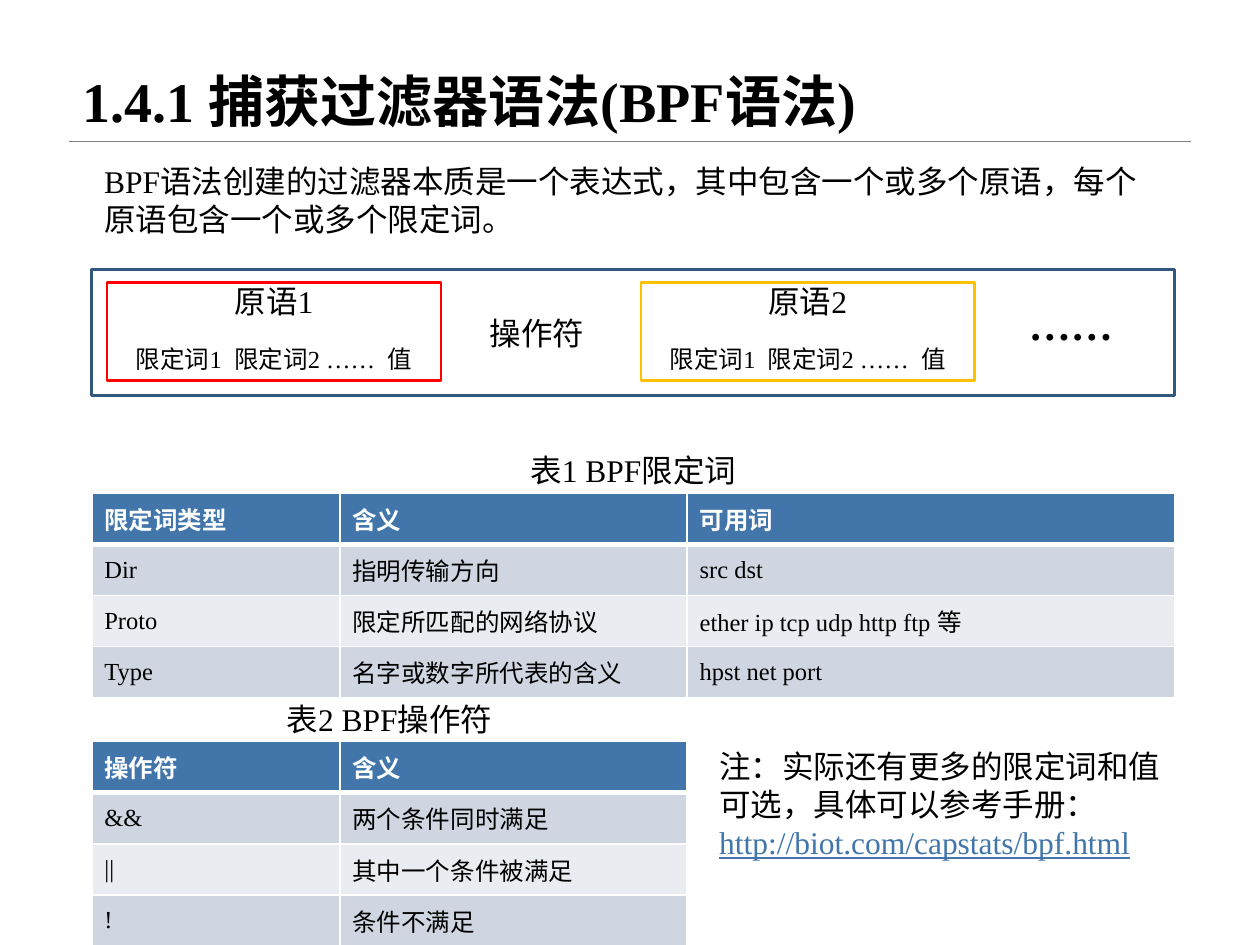
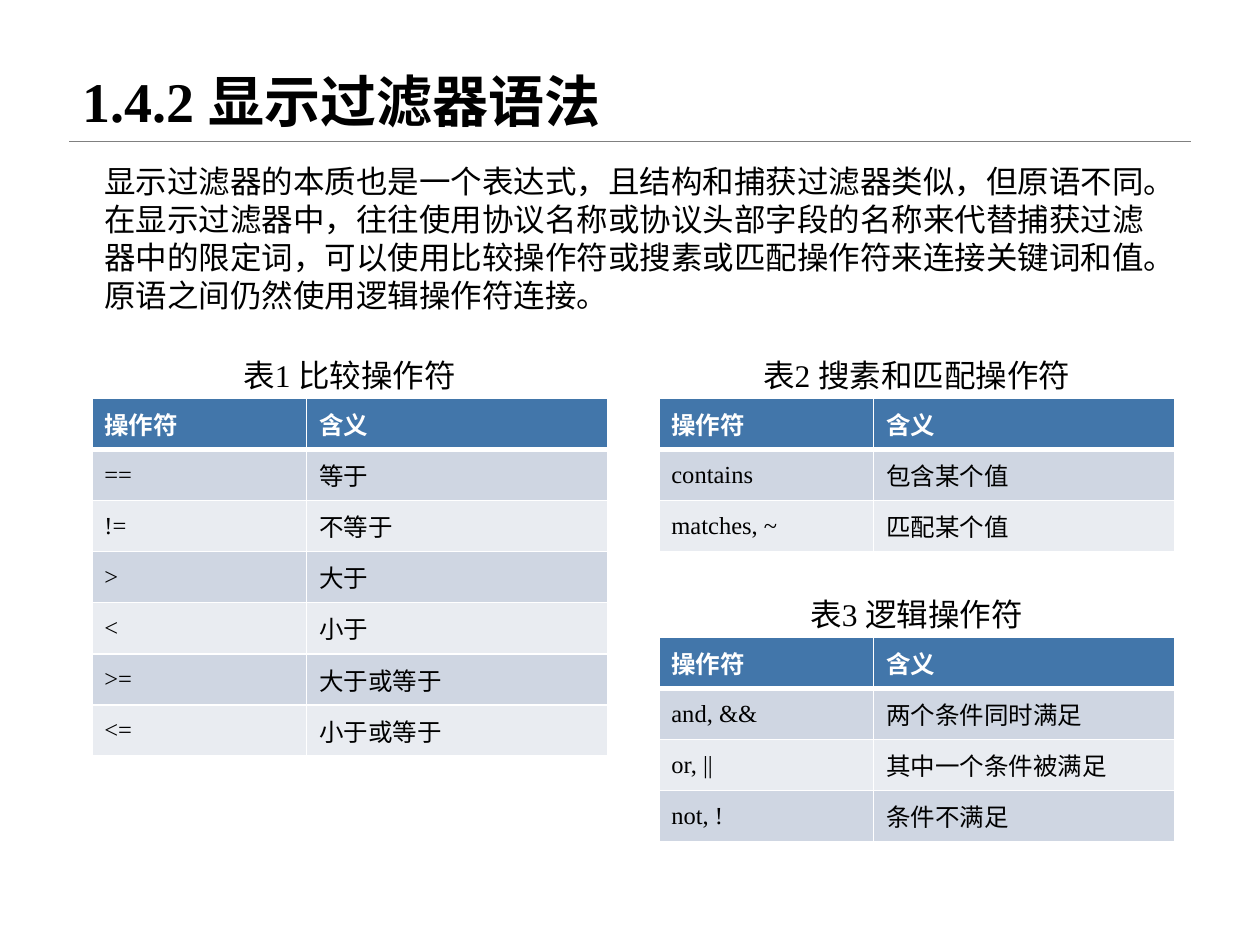
import pptx
import pptx.dml.color
import pptx.enum.shapes
import pptx.enum.text
import pptx.oxml
import pptx.oxml.ns
import pptx.util
from dataclasses import dataclass

Cm = pptx.util.Cm
Pt = pptx.util.Pt
ALIGN = pptx.enum.text.PP_ALIGN
ANCHOR = pptx.enum.text.MSO_ANCHOR
SHAPE = pptx.enum.shapes.MSO_SHAPE
CONNECTOR = pptx.enum.shapes.MSO_CONNECTOR


@dataclass(frozen=True)
class Theme:
    font: str = "Times New Roman"
    text: str = "000000"
    white: str = "FFFFFF"
    accent: str = "4276AA"
    frame: str = "31577E"
    rule: str = "808080"
    first: str = "FF0000"
    second: str = "FFC000"
    bands: tuple = ("CFD6E2", "E9ECF1")
    title_size: int = 32
    dots_size: int = 24
    body_size: int = 18
    small_size: int = 14


LEFT, WIDTH = 1.85, 21.83
ROW_H = 1.03
CAPTION_H, CAPTION_RISE = 1.02, 0.97
NARROW = {"l": 0.1, "r": 0.1}


def rgb(value):
    return pptx.dml.color.RGBColor.from_string(value)


def assign(obj, **values):
    for name, value in values.items():
        setattr(obj, name, value)


class Deck:
    def __init__(self, prs, theme):
        self.prs, self.theme, self.s = prs, theme, None

    def style(self, font, size, color=None, **values):
        assign(font, name=self.theme.font, size=Pt(size), **values)
        font.color.rgb = rgb(color or self.theme.text)

    def slide(self, title):
        self.s = self.prs.slides.add_slide(self.prs.slide_layouts[5])
        sp = self.s.shapes.title
        assign(sp, left=Cm(1.4), top=Cm(0), width=Cm(22.6), height=Cm(2.85))
        tf = sp.text_frame
        assign(tf, vertical_anchor=ANCHOR.BOTTOM, word_wrap=True,
               auto_size=pptx.enum.text.MSO_AUTO_SIZE.NONE)
        p = tf.paragraphs[0]
        assign(p, alignment=ALIGN.LEFT, line_spacing=0.9)
        r = p.add_run()
        r.text = title
        self.style(r.font, self.theme.title_size, bold=True)
        self.line(1.4, 2.85, 24, 2.85)

    def line(self, x1, y1, x2, y2):
        sp = self.s.shapes.add_connector(CONNECTOR.STRAIGHT, Cm(x1), Cm(y1), Cm(x2), Cm(y2))
        sp.line.color.rgb = rgb(self.theme.rule)
        sp.line.width = Pt(0.25)
        sp._element.spPr.append(pptx.oxml.parse_xml(
            f'<a:effectLst {pptx.oxml.ns.nsdecls("a")}/>'))

    def outline(self, x, y, w, h, color):
        sp = self.s.shapes.add_shape(SHAPE.RECTANGLE, Cm(x), Cm(y), Cm(w), Cm(h))
        sp.shadow.inherit = False
        sp.fill.background()
        sp.line.color.rgb = rgb(color)
        sp.line.width = Pt(1.5)

    def text(self, x, y, w, h, text, size=None, align=ALIGN.LEFT, spacing=None,
             bold=False, insets=None):
        """Add a wrapped one-paragraph box and return its paragraph."""
        tf = self.s.shapes.add_textbox(Cm(x), Cm(y), Cm(w), Cm(h)).text_frame
        tf.word_wrap = True
        margins = {"l": 0.25, "r": 0.25, **(insets or {})}
        assign(tf, margin_left=Cm(margins["l"]), margin_right=Cm(margins["r"]))
        p = tf.paragraphs[0]
        assign(p, alignment=align, line_spacing=spacing)
        r = p.add_run()
        r.text = text
        self.style(r.font, size or self.theme.body_size, bold=bold)
        return p

    def primitive(self, x, number, color):
        self.outline(x, 5.69, 6.73, 1.98, color)
        self.text(x, 5.56, 6.73, 1.02, f"原语{number}", align=ALIGN.CENTER)
        self.text(x, 6.81, 6.73, 0.86, "限定词1  限定词2 ……  值",
                  self.theme.small_size, ALIGN.CENTER, insets=NARROW)

    def borders(self, cell, row):
        """Rule the cell in white, heavier below the header row."""
        widths = {"L": 1, "R": 1, "T": 3 if row == 1 else 1, "B": 3 if row == 0 else 1}
        tcPr = cell._tc.get_or_add_tcPr()
        for side, width in widths.items():
            tcPr.append(pptx.oxml.parse_xml(
                f'<a:ln{side} {pptx.oxml.ns.nsdecls("a")} w="{Pt(width)}"><a:solidFill>'
                f'<a:srgbClr val="{self.theme.white}"/></a:solidFill></a:ln{side}>'))

    def table(self, x, y, caption, cols, rows):
        """Add a table with its caption centred above."""
        t, w = self.theme, sum(cols)
        tbl = self.s.shapes.add_table(len(rows), len(cols), Cm(x), Cm(y), Cm(w),
                                      Cm(ROW_H * len(rows))).table
        tbl.horz_banding = False
        for col, width in zip(tbl.columns, cols):
            col.width = Cm(width)
        for i, values in enumerate(rows):
            tbl.rows[i].height = Cm(ROW_H)
            header = i == 0
            for j, value in enumerate(values):
                cell = tbl.cell(i, j)
                cell.vertical_anchor = ANCHOR.MIDDLE
                self.borders(cell, i)
                cell.fill.solid()
                cell.fill.fore_color.rgb = rgb(t.accent if header else t.bands[(i - 1) % 2])
                r = cell.text_frame.paragraphs[0].add_run()
                r.text = value
                self.style(r.font, t.small_size, t.white if header else t.text, bold=header)
        self.text(x, y - CAPTION_RISE, w, CAPTION_H, caption, align=ALIGN.CENTER)


OPERATOR_HEAD = ("操作符", "含义")
LOGIC_MEANINGS = ("两个条件同时满足", "其中一个条件被满足", "条件不满足")


def logic_rows(*operators):
    return [OPERATOR_HEAD, *zip(operators, LOGIC_MEANINGS)]


def capture_filter(deck):
    t = deck.theme
    deck.slide("1.4.1 捕获过滤器语法(BPF语法)")
    deck.text(LEFT, 3.15, WIDTH, 1.8,
              "BPF语法创建的过滤器本质是一个表达式，其中包含一个或多个原语，"
              "每个原语包含一个或多个限定词。")

    deck.outline(LEFT, 5.44, WIDTH, 2.54, t.frame)
    slots = [2.16 + 5.38 * i for i in range(4)]
    deck.primitive(slots[0], 1, t.first)
    deck.text(slots[1], 6.2, 6.73, 1.02, "操作符", align=ALIGN.CENTER, insets={"l": 0.1})
    deck.primitive(slots[2], 2, t.second)
    deck.text(slots[3], 6.07, 6.73, 1.12, "……", t.dots_size, ALIGN.CENTER,
              Pt(24), True, {"l": 0.1})

    deck.table(LEFT, 9.94, "表1 BPF限定词", (5, 7, 9.83), [
        ("限定词类型", "含义", "可用词"),
        ("Dir", "指明传输方向", "src dst"),
        ("Proto", "限定所匹配的网络协议", "ether ip tcp udp http ftp 等"),
        ("Type", "名字或数字所代表的含义", "hpst net port"),
    ])
    deck.table(LEFT, 14.95, "表2 BPF操作符", (5, 7), logic_rows("&&", "||", "!"))

    p = deck.text(14.25, 14.94, 9.43, 2.57,
                  "注：实际还有更多的限定词和值可选，具体可以参考手册：")
    r = p.add_run()
    r.text = "http://biot.com/capstats/bpf.html"
    deck.style(r.font, t.body_size, t.accent, underline=True)


def display_filter(deck):
    deck.slide("1.4.2 显示过滤器语法")
    deck.text(LEFT, 3.15, WIDTH, 3.33,
              "显示过滤器的本质也是一个表达式，且结构和捕获过滤器类似，但原语不同。"
              "在显示过滤器中，往往使用协议名称或协议头部字段的名称来代替捕获过滤器中的限定词，"
              "可以使用比较操作符或搜素或匹配操作符来连接关键词和值。"
              "原语之间仍然使用逻辑操作符连接。")

    cols = (4.33, 6.07)
    right, top = LEFT + WIDTH - sum(cols), 8.03
    deck.table(LEFT, top, "表1 比较操作符", cols, [
        OPERATOR_HEAD,
        ("==", "等于"),
        ("!=", "不等于"),
        (">", "大于"),
        ("<", "小于"),
        (">=", "大于或等于"),
        ("<=", "小于或等于"),
    ])
    deck.table(right, top, "表2 搜素和匹配操作符", cols, [
        OPERATOR_HEAD,
        ("contains", "包含某个值"),
        ("matches, ~", "匹配某个值"),
    ])
    deck.table(right, 12.85, "表3 逻辑操作符", cols, logic_rows("and, &&", "or, ||", "not, !"))


def main():
    prs = pptx.Presentation()
    assign(prs, slide_width=Cm(25.4), slide_height=Cm(19.05))
    deck = Deck(prs, Theme())
    capture_filter(deck)
    display_filter(deck)
    prs.save("out.pptx")


if __name__ == "__main__":
    main()
